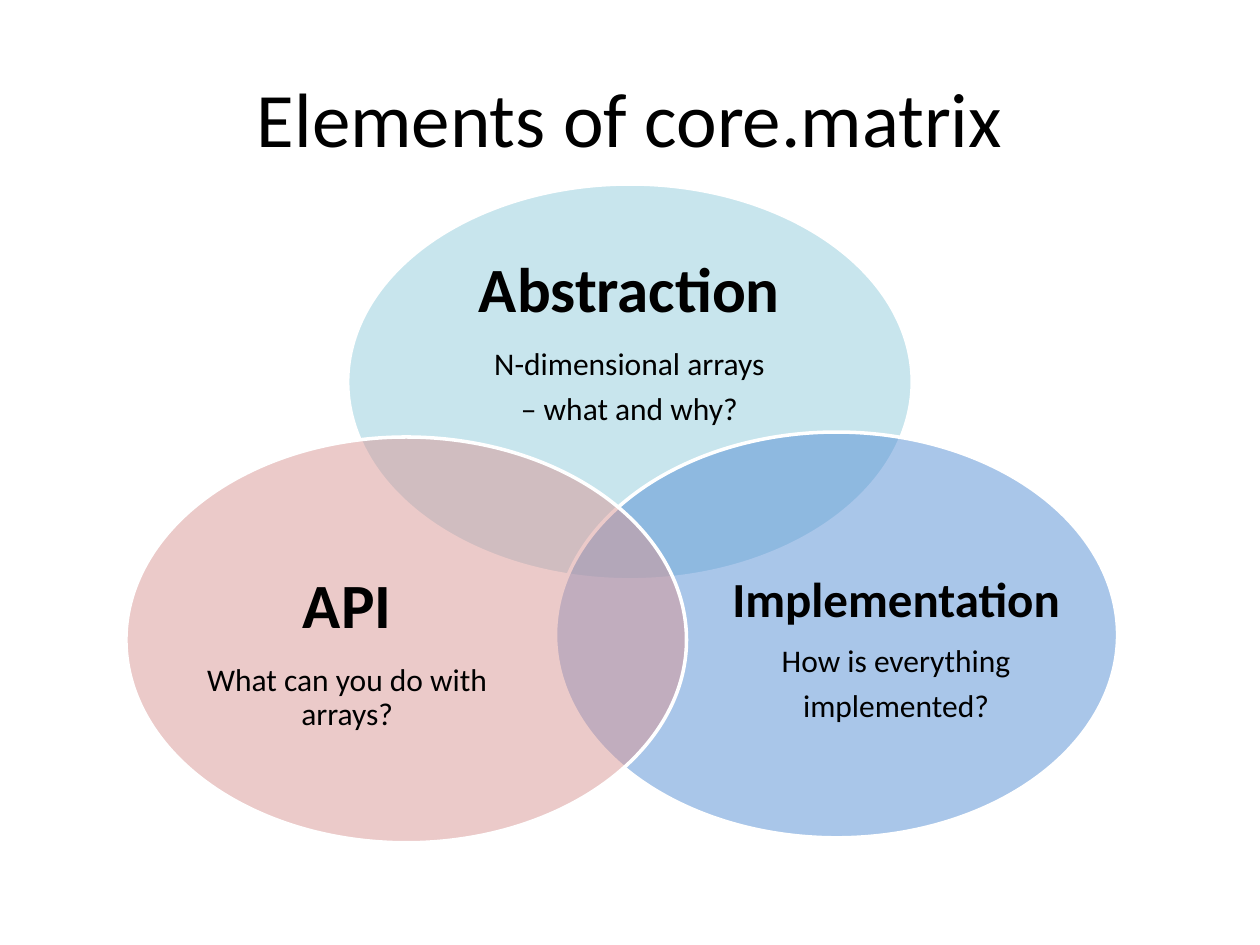
from lxml import etree
from pptx import Presentation
from pptx import util as u
from pptx.dml.color import RGBColor
from pptx.enum import shapes, text
from pptx.oxml.ns import qn


def color(hex_string):
    return RGBColor.from_string(hex_string)


def add_line(paragraph, content, size, bold=False):
    paragraph.text = content
    paragraph.alignment = text.PP_ALIGN.CENTER
    formats = {"name": "Calibri", "size": u.Pt(size), "bold": bold}
    for name, value in formats.items():
        setattr(paragraph.font, name, value)
    paragraph.font.color.rgb = color("000000")


presentation = Presentation()
presentation.slide_width = u.Cm(25.4)
presentation.slide_height = u.Cm(19.05)
slide = presentation.slides.add_slide(presentation.slide_layouts[5])

# Title
title = slide.shapes.title
title_box = {"left": 1.27, "top": 0.76, "width": 22.86, "height": 3.18}
for name, value in title_box.items():
    setattr(title, name, u.Cm(value))
title.text_frame.vertical_anchor = text.MSO_ANCHOR.MIDDLE
add_line(title.text_frame.paragraphs[0], "Elements of core.matrix", 44)

# Venn circles from back to front: fill, ellipse box, text box, heading, size, details
circles = [
    ("93CDDD", (7.01, 3.71, 11.38, 7.98), (8.51, 5.11, 8.36, 3.58),
     "Abstraction", 36, ["N-dimensional arrays", "– what and why?"]),
    ("558ED5", (11.2, 8.71, 11.33, 8.18), (14.66, 10.85, 6.81, 4.5),
     "Implementation", 28, ["How is everything", "implemented?"]),
    ("D99694", (2.54, 8.81, 11.3, 8.18), (3.61, 10.92, 6.78, 4.5),
     "API", 36, ["What can you do with arrays?"]),
]
frame_format = {
    "word_wrap": True,
    "vertical_anchor": text.MSO_ANCHOR.MIDDLE,
    "margin_left": 0, "margin_top": 0, "margin_right": 0, "margin_bottom": 0,
}

for fill, ellipse_box, label_box, heading, heading_size, details in circles:
    # Half-transparent ellipse with a white outline
    ellipse = slide.shapes.add_shape(
        shapes.MSO_SHAPE.OVAL, *[u.Cm(value) for value in ellipse_box])
    ellipse.shadow.inherit = False
    ellipse.fill.solid()
    ellipse.fill.fore_color.rgb = color(fill)
    fill_color = ellipse.fill._xPr.find(qn("a:solidFill"))[0]
    etree.SubElement(fill_color, qn("a:alpha")).set("val", "50000")
    ellipse.line.color.rgb = color("FFFFFF")
    ellipse.line.width = u.Pt(2)

    # Heading and details
    label = slide.shapes.add_textbox(*[u.Cm(value) for value in label_box])
    frame = label.text_frame
    for name, value in frame_format.items():
        setattr(frame, name, value)
    lines = [(heading, heading_size, True)] + [(line, 18, False) for line in details]
    for index, (content, size, bold) in enumerate(lines):
        paragraph = frame.add_paragraph() if index else frame.paragraphs[0]
        add_line(paragraph, content, size, bold)
        paragraph.line_spacing = 0.9
        paragraph.space_after = u.Pt(0.35 * size)

presentation.save("out.pptx")
